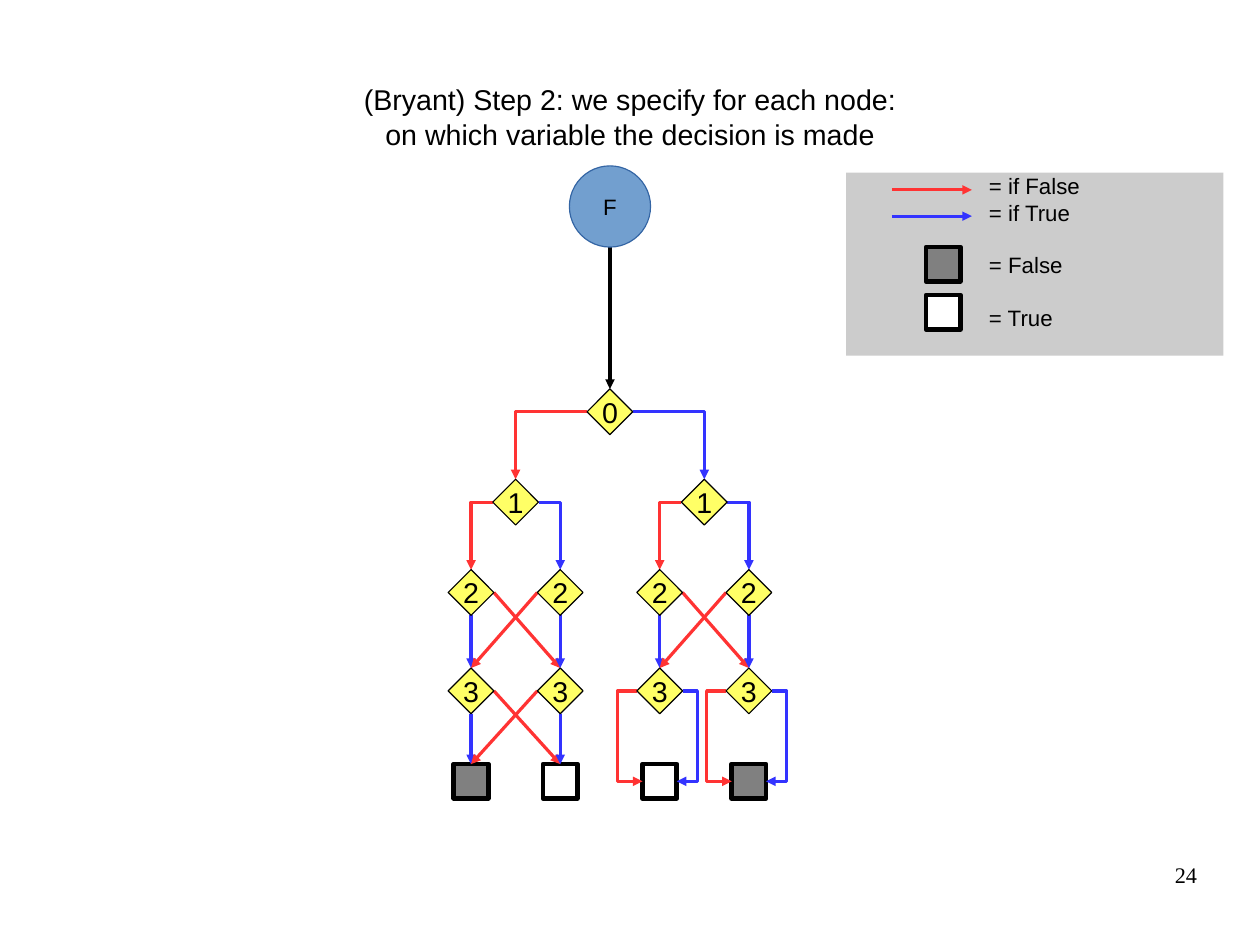
from lxml import etree
from pptx import Presentation
from pptx.dml.color import RGBColor
from pptx.enum.shapes import MSO_CONNECTOR, MSO_SHAPE
from pptx.enum.text import MSO_ANCHOR, PP_ALIGN
from pptx.oxml.ns import qn
from pptx.util import Inches, Pt

RECT, OVAL, DIAMOND = MSO_SHAPE.RECTANGLE, MSO_SHAPE.OVAL, MSO_SHAPE.DIAMOND
STRAIGHT, ELBOW = MSO_CONNECTOR.STRAIGHT, MSO_CONNECTOR.ELBOW
LEFT, CENTER, RIGHT = PP_ALIGN.LEFT, PP_ALIGN.CENTER, PP_ALIGN.RIGHT
TOP, MIDDLE = MSO_ANCHOR.TOP, MSO_ANCHOR.MIDDLE

BLACK = RGBColor(0x00, 0x00, 0x00)
WHITE = RGBColor(0xFF, 0xFF, 0xFF)
GRAY = RGBColor(0x80, 0x80, 0x80)
PALE = RGBColor(0xCC, 0xCC, 0xCC)
YELLOW = RGBColor(0xFF, 0xFF, 0x66)
SKY = RGBColor(0x72, 0x9F, 0xCF)
NAVY = RGBColor(0x34, 0x65, 0xA4)
RED = RGBColor(0xFF, 0x33, 0x33)
BLUE = RGBColor(0x33, 0x33, 0xFF)

# Content
TITLE = "(Bryant) Step 2: we specify for each node:\von which variable the decision is made"
PAGE = "24"
# Legend text and the space before it in points
LEGEND = [("= if False", 0), ("= if True", 0), ("= False", 16.1), ("= True", 16.1)]
KEYS = [(RED, 1.66), (BLUE, 1.89)]
SWATCHES = [(GRAY, 2.31), (WHITE, 2.73)]
# Each half of the tree: fills of its two leaves, and whether its edges cross
HALVES = [((GRAY, WHITE), True), ((WHITE, GRAY), False)]

# Tree grid: centres of the levels and halves, half sizes of the nodes
ROWS = [3.6, 4.39, 5.18, 6.04]
LEAF_Y = 6.83
MIDS = [4.51, 6.16]
ROOT = sum(MIDS) / 2
SPREAD, NODE, LEAF, CIRCLE = 0.39, 0.2, 0.15, 0.355
LOOPS = [(-1, RED, 0.37), (1, BLUE, 0.33)]

deck = Presentation()
deck.slide_width, deck.slide_height = Inches(11.02), Inches(8.27)
slide = deck.slides.add_slide(deck.slide_layouts[6])
shapes = slide.shapes


def write(shape, lines, size=18, face="Arial", align=CENTER, anchor=MIDDLE, wrap=True, indent=0):
    frame = shape.text_frame
    form = {"margin_left": Inches(indent), "margin_right": 0, "margin_top": 0,
            "margin_bottom": 0, "vertical_anchor": anchor, "word_wrap": wrap}
    for name, value in form.items():
        setattr(frame, name, value)
    for i, (text, gap) in enumerate(lines):
        para = frame.add_paragraph() if i else frame.paragraphs[0]
        para.text = text
        para.alignment = align
        if gap:
            para.space_before = Pt(gap)
        for run in para.runs:
            for name, value in {"size": Pt(size), "name": face}.items():
                setattr(run.font, name, value)
            run.font.color.rgb = BLACK


def label(box, text, **form):
    write(shapes.add_textbox(*map(Inches, box)), [(text, 0)], **form)


def block(kind, box, fill, line=None, width=0):
    shape = shapes.add_shape(kind, *map(Inches, box))
    shape.shadow.inherit = False
    shape.fill.solid()
    shape.fill.fore_color.rgb = fill
    if line is None:
        shape.line.fill.background()
    else:
        shape.line.color.rgb = line
        shape.line.width = Pt(width)
    return shape


def node(kind, x, y, half, fill, line=BLACK, width=0):
    return block(kind, (x - half, y - half, 2 * half, 2 * half), fill, line, width)


def arrow(start, end, color, bend=None, via=None):
    kind = ELBOW if bend else STRAIGHT
    link = shapes.add_connector(kind, *map(Inches, start + end))
    link.line.color.rgb = color
    link.line.width = Pt(0)
    props = link._element.spPr
    etree.SubElement(props.find(qn("a:ln")), qn("a:tailEnd"), type="triangle")
    etree.SubElement(props, qn("a:effectLst"))
    if bend:
        geom = props.find(qn("a:prstGeom"))
        geom.set("prst", bend)
        if via is not None:
            ratio = (via - start[0]) / (end[0] - start[0])
            guides = geom.find(qn("a:avLst"))
            etree.SubElement(guides, qn("a:gd"), name="adj1", fmla=f"val {round(ratio * 100000)}")


def fork(x, row, reach):
    for side, color in ((1, BLUE), (-1, RED)):
        arrow((x + side * NODE, ROWS[row]), (x + side * reach, ROWS[row + 1] - NODE),
              color, "bentConnector2")


def cross(pair, y, end):
    for x, other, side in ((pair[0], pair[1], 1), (pair[1], pair[0], -1)):
        arrow((x, y + NODE), (x, end), BLUE)
        arrow((x + side * NODE, y), (other, end), RED)


# Title
label((0.55, 0.33, 9.92, 1.38), TITLE)

# Leaves and edges
arrow((ROOT, 2.16), (ROOT, ROWS[0] - NODE), BLACK)
fork(ROOT, 0, MIDS[1] - ROOT)
nodes = [(ROOT, 0)]
for mid, (fills, crossed) in zip(MIDS, HALVES):
    pair = (mid - SPREAD, mid + SPREAD)
    for x, fill in zip(pair, fills):
        node(RECT, x, LEAF_Y, LEAF, fill, width=3)
    fork(mid, 1, SPREAD)
    cross(pair, ROWS[2], ROWS[3] - NODE)
    if crossed:
        cross(pair, ROWS[3], LEAF_Y - LEAF)
    else:
        for x in pair:
            for side, color, out in LOOPS:
                arrow((x + side * NODE, ROWS[3]), (x + side * LEAF, LEAF_Y),
                      color, "bentConnector3", x + side * out)
    nodes += [(mid, 1)] + [(x, row) for row in (2, 3) for x in pair]

# Function and decision nodes
write(node(OVAL, ROOT, 1.805, CIRCLE, SKY, NAVY), [("F", 0)], size=14, wrap=False)
for x, row in nodes:
    write(node(DIAMOND, x, ROWS[row], NODE, YELLOW), [(str(row), 0)], wrap=False)

# Legend
panel = block(RECT, (7.4, 1.51, 3.3, 1.6), PALE)
write(panel, LEGEND, size=14, align=LEFT, anchor=TOP, indent=1.25)
for fill, y in SWATCHES:
    node(RECT, 8.25, y, LEAF, fill, width=3)
for color, y in KEYS:
    arrow((7.8, y), (8.5, y), color)

# Page number
label((7.9, 7.53, 2.57, 0.57), PAGE, size=14, face="Times New Roman", align=RIGHT, anchor=TOP)

deck.save("out.pptx")
